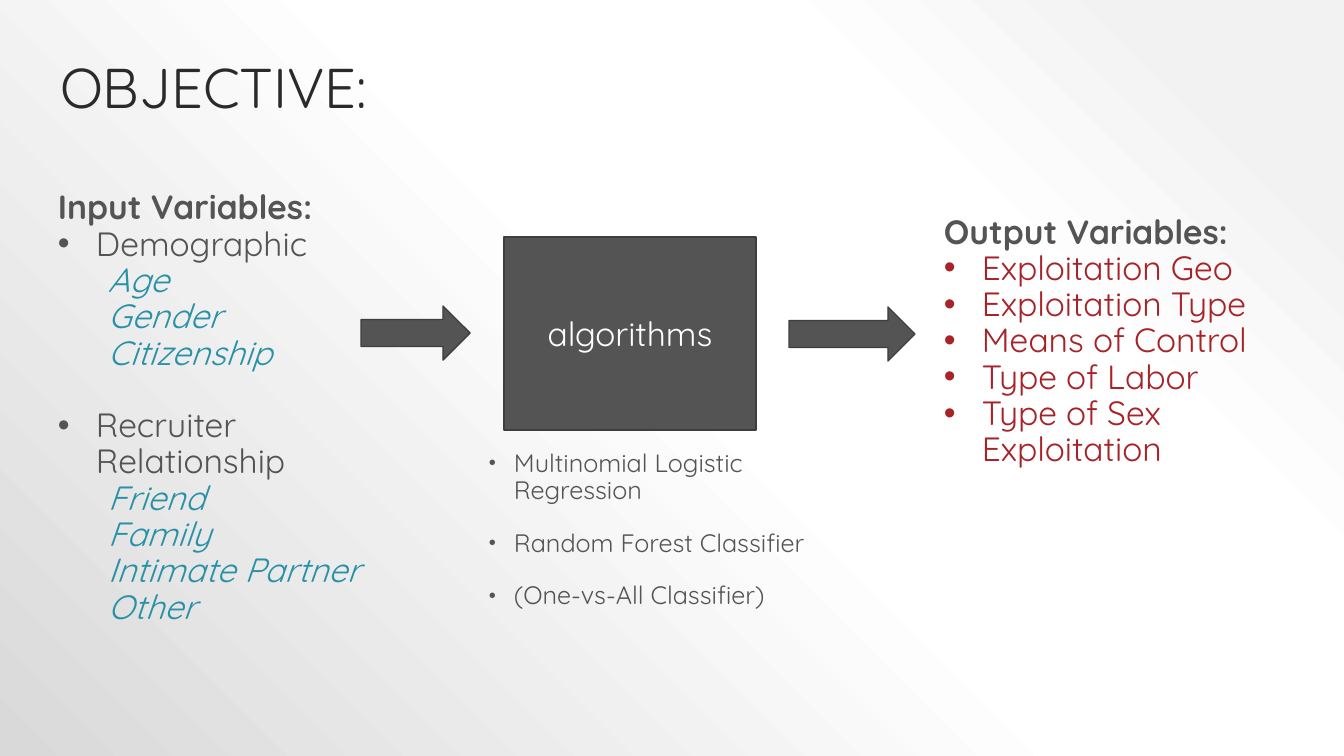
"""Build the objective slide: input variables, algorithms and output variables."""
from dataclasses import dataclass

from pptx import Presentation
from pptx.dml.color import RGBColor
from pptx.enum.shapes import MSO_SHAPE
from pptx.enum.text import MSO_ANCHOR, MSO_AUTO_SIZE, PP_ALIGN
from pptx.oxml import parse_xml
from pptx.oxml.ns import nsdecls
from pptx.util import Emu, Pt

RECTANGLE, ARROW = MSO_SHAPE.RECTANGLE, MSO_SHAPE.RIGHT_ARROW
LEFT, CENTER = PP_ALIGN.LEFT, PP_ALIGN.CENTER
MIDDLE, BOTTOM = MSO_ANCHOR.MIDDLE, MSO_ANCHOR.BOTTOM
FIXED, GROW = MSO_AUTO_SIZE.NONE, MSO_AUTO_SIZE.SHAPE_TO_FIT_TEXT
EMU_PER_PX = 914400 / 100.8


@dataclass(frozen=True)
class Theme:
    font: str = "Quicksand"
    title: str = "2A2A2A"
    body: str = "545454"
    edge: str = "3E3E3E"
    white: str = "FFFFFF"
    inputs: str = "2791A6"
    outputs: str = "A72327"
    title_size: int = 40
    body_size: int = 24
    small_size: int = 18
    backdrop: tuple = ((10, "F2F2F2"), (28, "FFFFFF"), (48, "FFFFFF"), (100, "D9D9D9"))


theme = Theme()


def px(*lengths):
    """Turn pixel lengths into a list of EMU."""
    return [Emu(round(length * EMU_PER_PX)) for length in lengths]


def write(frame, text, size=theme.body_size, color=theme.body, bold=False, italic=False,
          align=LEFT, line=0.9, before=0, margin=0, hanging=0, bullet_size=100):
    """Add one formatted paragraph, with a bullet when it has a hanging indent."""
    para = frame.paragraphs[0]
    if para.runs:
        para = frame.add_paragraph()
    para.alignment, para.line_spacing = align, line
    para.space_before, para.space_after = Pt(before), Pt(0)
    span = para.add_run()
    span.text = text
    span.font.name, span.font.size = theme.font, Pt(size)
    span.font.bold, span.font.italic = bold, italic
    span.font.color.rgb = RGBColor.from_string(color)
    properties = para._p.get_or_add_pPr()
    left, indent = px(margin, -hanging)
    properties.set("marL", str(left))
    properties.set("indent", str(indent))
    if hanging:
        for tag in (f'<a:buClr {nsdecls("a")}><a:srgbClr val="{color}"/></a:buClr>',
                    f'<a:buSzPct {nsdecls("a")} val="{bullet_size * 1000}"/>',
                    f'<a:buFont {nsdecls("a")} typeface="Arial"/>',
                    f'<a:buChar {nsdecls("a")} char="•"/>'):
            properties.append(parse_xml(tag))


deck = Presentation()
deck.slide_width, deck.slide_height = px(1344, 756)
page = deck.slides.add_slide(deck.slide_layouts[5])

page.background.fill.solid()
solid = page.element.xpath(".//p:bgPr/a:solidFill")[0]
stops = "".join(f'<a:gs pos="{position * 1000}"><a:srgbClr val="{color}"/></a:gs>'
                for position, color in theme.backdrop)
solid.getparent().replace(solid, parse_xml(
    f'<a:gradFill {nsdecls("a")} rotWithShape="1"><a:gsLst>{stops}</a:gsLst>'
    '<a:path path="circle"><a:fillToRect l="100000" b="100000"/></a:path></a:gradFill>'))

title = page.shapes.title
title.left, title.top, title.width, title.height = px(50, 17, 1159, 109)
title.text_frame.auto_size = FIXED
title.text_frame.vertical_anchor = BOTTOM
write(title.text_frame, "OBJECTIVE:", size=theme.title_size, color=theme.title)

heading = dict(bold=True)
group = dict(margin=38, hanging=38)
next_group = dict(group, before=26)
member = dict(margin=50, color=theme.inputs, italic=True)
output = dict(group, color=theme.outputs)
method = dict(margin=30, hanging=25, size=theme.small_size, before=18, bullet_size=80)

text_blocks = [
    ((474, 446, 345, 210), FIXED, [
        (method, ["Multinomial Logistic Regression", "Random Forest Classifier",
                  "(One-vs-All Classifier)"])]),
    ((48, 186, 361, 487), GROW, [
        (heading, ["Input Variables:"]),
        (group, ["Demographic"]),
        (member, ["Age", "Gender", "Citizenship"]),
        (next_group, ["Recruiter Relationship"]),
        (member, ["Friend", "Family", "Intimate Partner", "Other"])]),
    ((934, 210, 361, 303), GROW, [
        (heading, ["Output Variables:"]),
        (output, ["Exploitation Geo", "Exploitation Type", "Means of Control",
                  "Type of Labor", "Type of Sex Exploitation"])]),
]
for place, sizing, sections in text_blocks:
    frame = page.shapes.add_textbox(*px(*place)).text_frame
    frame.word_wrap, frame.auto_size = True, sizing
    for style, lines in sections:
        for text in lines:
            write(frame, text, **style)

for kind, place, label in [(RECTANGLE, (504, 237, 252, 193), "algorithms"),
                           (ARROW, (361, 306, 109, 54), None),
                           (ARROW, (789, 307, 126, 54), None)]:
    box = page.shapes.add_shape(kind, *px(*place))
    box.shadow.inherit = False
    box.fill.solid()
    box.fill.fore_color.rgb = RGBColor.from_string(theme.body)
    box.line.color.rgb = RGBColor.from_string(theme.edge)
    box.line.width = Pt(1)
    if label:
        box.text_frame.vertical_anchor = MIDDLE
        write(box.text_frame, label, color=theme.white, align=CENTER, line=1.0)

deck.save("out.pptx")
